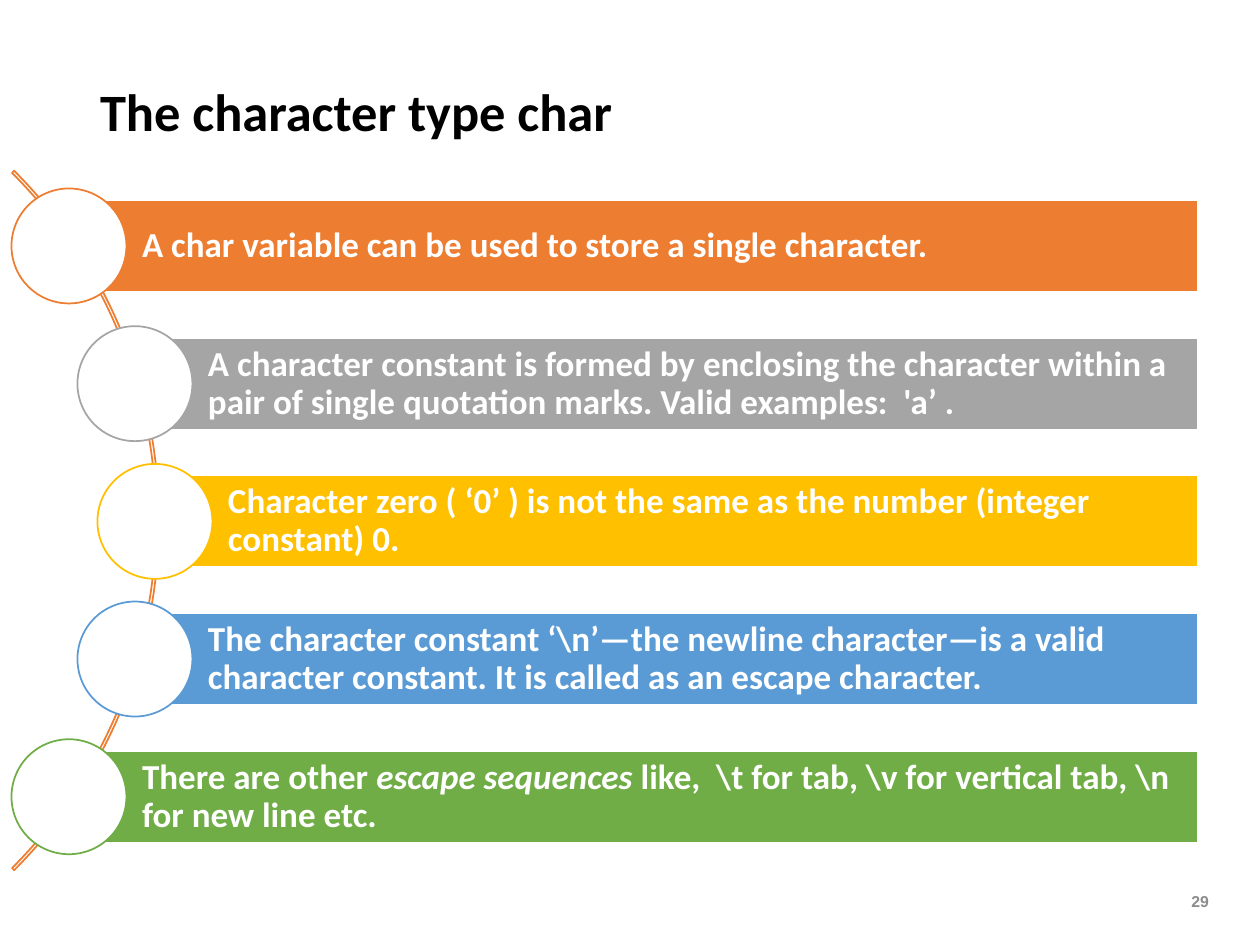
from dataclasses import dataclass

from pptx import Presentation
from pptx.dml.color import RGBColor
from pptx.enum.shapes import MSO_SHAPE
from pptx.enum.text import MSO_ANCHOR, MSO_AUTO_SIZE, PP_ALIGN
from pptx.util import Pt

SCALE = 914400 / 126  # EMU per px


@dataclass(frozen=True)
class Theme:
    font: str = "Calibri"
    num_font: str = "Arial"
    ink: str = "000000"
    paper: str = "FFFFFF"
    muted: str = "8C8C8C"
    arc: str = "ED7D31"
    title: int = 30
    body: int = 20
    num: int = 9


THEME = Theme()

# centre of the circle in px, colour, text; *stars* mark italics
ROWS = [
    (69, "ED7D31", "A char variable can be used to store a single character."),
    (135, "A5A5A5", "A character constant is formed by enclosing the character "
     "within a pair of single quotation marks. Valid examples:  'a’ ."),
    (155, "FFC000", "Character zero ( ‘0’ ) is not the same as the number "
     "(integer constant) 0."),
    (135, "5B9BD5", r"The character constant ‘\n’—the newline character—is a valid "
     "character constant. It is called as an escape character."),
    (69, "70AD47", r"There are other *escape sequences* like,  \t for tab, "
     r"\v for vertical tab, \n for new line etc."),
]
TOP, PITCH = 246, 137.7
BAR_H, RIGHT, DISC = 92, 1198, 115


def px(num):
    return round(num * SCALE)


def rgb(code):
    return RGBColor.from_string(code)


def place(item, *box):
    item.left, item.top, item.width, item.height = map(px, box)


def write(item, text, *, size, color, font=THEME.font, align=PP_ALIGN.LEFT,
          pads=(13, 6, 13, 6), lead=None):
    """Fill a shape with one bold paragraph; *stars* mark italics."""
    frame = item.text_frame
    frame.word_wrap = True
    frame.auto_size = MSO_AUTO_SIZE.NONE
    frame.vertical_anchor = MSO_ANCHOR.MIDDLE
    (frame.margin_left, frame.margin_top,
     frame.margin_right, frame.margin_bottom) = map(px, pads)
    para = frame.paragraphs[0]
    para.alignment = align
    para.line_spacing = lead
    for pos, part in enumerate(text.split("*")):
        run = para.add_run()
        run.text = part
        run.font.name, run.font.size = font, Pt(size)
        run.font.bold, run.font.italic = True, pos % 2 == 1
        run.font.color.rgb = rgb(color)


def draw(slide, kind, box, line, fill=None):
    item = slide.shapes.add_shape(kind, *map(px, box))
    item.shadow.inherit = False
    item.line.color.rgb = rgb(line)
    item.line.width = Pt(1)
    if fill:
        item.fill.solid()
        item.fill.fore_color.rgb = rgb(fill)
    else:
        item.fill.background()
    return item


def add_title(slide, text):
    title = slide.shapes.title
    place(title, 87, 71, 1137, 87)
    write(title, text, size=THEME.title, color=THEME.ink, lead=0.9)


def add_arc(slide):
    arc = draw(slide, MSO_SHAPE.BLOCK_ARC, (-830, 26, 989, 989), THEME.arc)
    for pos, value in enumerate((189, 27, 0.003)):
        arc.adjustments[pos] = value


def add_row(slide, x, y, color, text):
    bar = draw(slide, MSO_SHAPE.RECTANGLE,
               (x, y - BAR_H / 2, RIGHT - x, BAR_H), THEME.paper, color)
    write(bar, text, size=THEME.body, color=THEME.paper,
          pads=(73, 8, 8, 8), lead=0.9)
    draw(slide, MSO_SHAPE.OVAL,
         (x - DISC / 2, y - DISC / 2, DISC, DISC), color, THEME.paper)


def add_number(slide, text):
    box = slide.shapes.add_textbox(*map(px, (1173, 876, 49, 50)))
    write(box, text, size=THEME.num, color=THEME.muted,
          font=THEME.num_font, align=PP_ALIGN.RIGHT)


def main():
    deck = Presentation()
    deck.slide_width, deck.slide_height = px(1260), px(945)
    slide = deck.slides.add_slide(deck.slide_layouts[5])
    add_title(slide, "The character type char")
    add_number(slide, "29")
    add_arc(slide)
    for pos, (x, color, text) in enumerate(ROWS):
        add_row(slide, x, TOP + pos * PITCH, color, text)
    deck.save("out.pptx")


if __name__ == "__main__":
    main()
